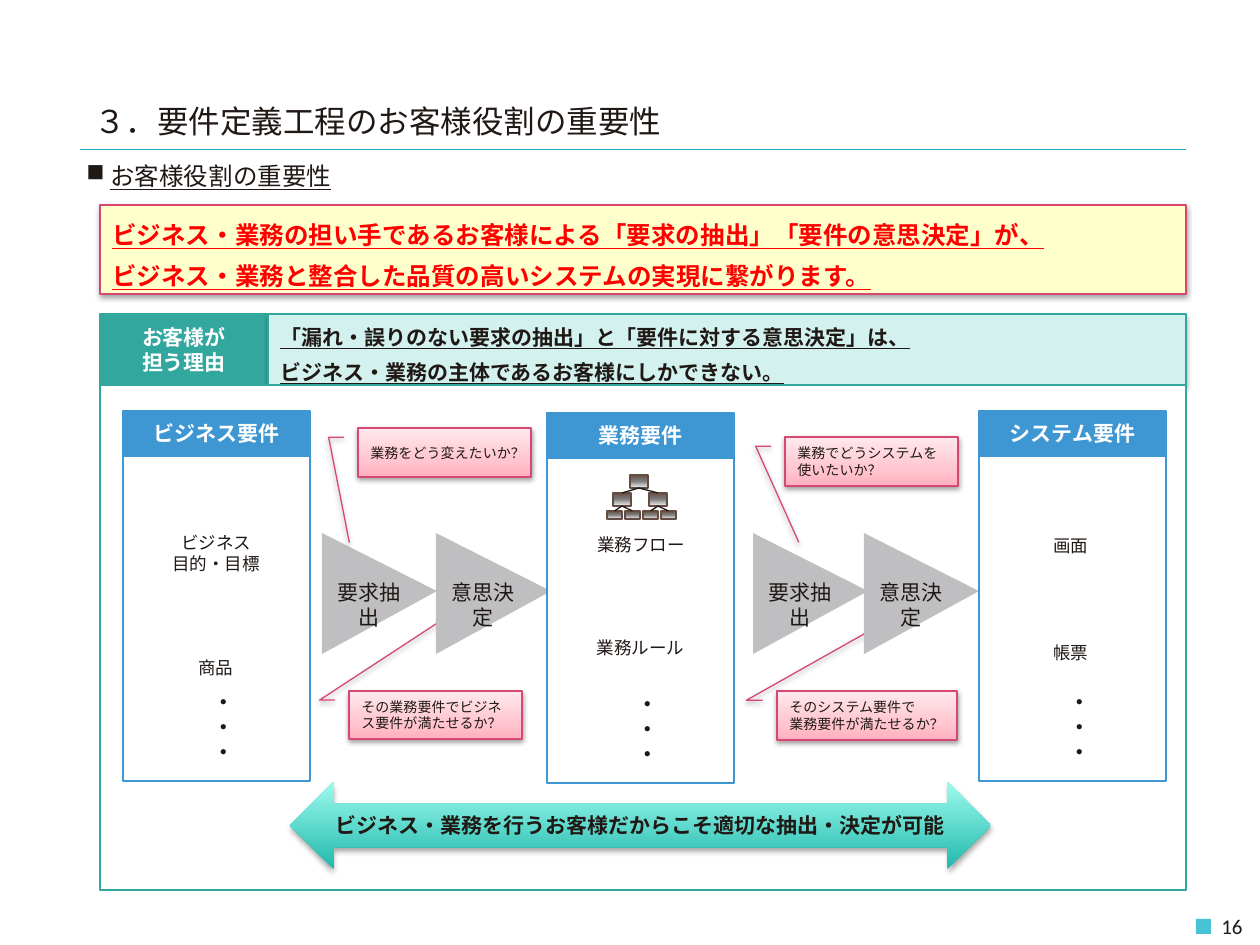
from lxml.etree import SubElement
from pptx import Presentation
from pptx.dml.color import RGBColor
from pptx.enum.shapes import MSO_CONNECTOR as Connector, MSO_SHAPE as Shape
from pptx.enum.text import MSO_ANCHOR as Anchor, PP_ALIGN as Align
from pptx.oxml.ns import qn
from pptx.util import Emu, Pt

SCALE = 914400 / 126
FONT = "Noto Sans CJK JP"
COLORS = {
    "ink": "201815", "white": "FFFFFF", "red": "FF0000", "cyan": "1BADBD",
    "marker": "47C3D3", "cream": "FFFFCC", "rose": "D64773", "teal": "32A79D",
    "teal_line": "2EA69C", "mint": "D2F1EF", "blue": "3E96D2", "gray": "BFBFC1",
    "brown": "654C42",
}
PINK = [(0, "FFAFBF"), (35, "FFC6D1"), (100, "FFE9ED")]
AQUA = [(0, "20B9AC"), (100, "9EFAEE")]
BRONZE = [(0, "654C42"), (50, "808080"), (100, "F2F2F2")]
MIDDLE = {"vertical_anchor": Anchor.MIDDLE, "word_wrap": True}
TOP = {"vertical_anchor": Anchor.TOP, "word_wrap": True}
UNWRAPPED = {"vertical_anchor": Anchor.TOP, "word_wrap": False}
CENTER = {"alignment": Align.CENTER}
LEFT = {"alignment": Align.LEFT}
LOOSE = {"alignment": Align.LEFT, "line_spacing": 1.4}


def px(*values):
    return [Emu(round(value * SCALE)) for value in values]


def rgb(name):
    return RGBColor.from_string(COLORS[name])


def apply(target, values):
    for name, value in values.items():
        setattr(target, name, value)


def write(shape, lines, size, color="ink", paragraph_format=CENTER, frame_format=MIDDLE,
          family=FONT, **font_format):
    frame = shape.text_frame
    apply(frame, frame_format)
    for index, line in enumerate(lines):
        paragraph = frame.add_paragraph() if index else frame.paragraphs[0]
        paragraph.text = line
        apply(paragraph, paragraph_format)
        for run in paragraph.runs:
            apply(run.font, {"size": Pt(size), "name": family, **font_format})
            run.font.color.rgb = rgb(color)
            SubElement(run._r.get_or_add_rPr(), qn("a:ea"), typeface=family)
    return shape


def add_text(slide, box, lines, size, **options):
    return write(slide.shapes.add_textbox(*px(*box)), lines, size, **options)


def add_block(slide, box, fill, line=None, kind=Shape.RECTANGLE, width=0.75, angle=90, shadow=0):
    shape = slide.shapes.add_shape(kind, *px(*box))
    shape.shadow.inherit = False
    properties = shape._element.spPr
    if isinstance(fill, list):
        shape.fill.gradient()
        shape.fill.gradient_angle = angle
        stops = properties.find(qn("a:gradFill")).find(qn("a:gsLst"))
        stops.clear()
        for position, color in fill:
            stop = SubElement(stops, qn("a:gs"), pos=str(position * 1000))
            SubElement(stop, qn("a:srgbClr"), val=color)
    else:
        shape.fill.solid()
        shape.fill.fore_color.rgb = rgb(fill)
    if line:
        shape.line.color.rgb = rgb(line)
        shape.line.width = Pt(width)
    else:
        shape.line.fill.background()
    if shadow:
        outer = SubElement(properties.find(qn("a:effectLst")), qn("a:outerShdw"),
                           blurRad=str(Pt(3.1)), dist=str(Pt(1.6)), dir="5400000", rotWithShape="0")
        color = SubElement(outer, qn("a:srgbClr"), val="000000")
        SubElement(color, qn("a:alpha"), val=str(shadow * 1000))
    return shape


def add_line(slide, ends, color, width):
    connector = slide.shapes.add_connector(Connector.STRAIGHT, *px(*ends))
    connector.line.color.rgb = rgb(color)
    connector.line.width = Pt(width)
    SubElement(connector._element.spPr, qn("a:effectLst"))
    return connector


def add_header(slide, box):
    left, top, width, height = box
    add_line(slide, (left, top + 53, left + width, top + 53), "cyan", 0.25)
    add_text(slide, (left + 2, top, 925, 49), ["３．要件定義工程のお客様役割の重要性"], 18,
             paragraph_format=LEFT)
    heading = add_text(slide, (left - 6, top + 59, 1121, 43), ["お客様役割の重要性"], 14,
                       paragraph_format=LEFT, frame_format=TOP, underline=True)
    properties = heading.text_frame.paragraphs[0]._p.get_or_add_pPr()
    indent = px(24)[0]
    properties.set("marL", str(indent))
    properties.set("indent", str(-indent))
    SubElement(properties, qn("a:buChar"), char="■")


def add_footer(slide, box):
    left, top, width, height = box
    add_block(slide, (left + 116, top + 12, 15, 15), "marker")
    add_text(slide, box, ["16"], 12, family="Calibri", paragraph_format={"alignment": Align.RIGHT})


def add_reason(slide, box):
    left, top, width, height = box
    label, row = 168, 71
    cell = add_block(slide, (left, top, label, row), "teal", "teal")
    write(cell, ["お客様が", "担う理由"], 12, "white", bold=True)
    cell = add_block(slide, (left + label, top, width - label, row), "mint", "teal_line", shadow=38)
    write(cell, ["「漏れ・誤りのない要求の抽出」と「要件に対する意思決定」は、\v"
                 "ビジネス・業務の主体であるお客様にしかできない。"],
          12, paragraph_format=LOOSE, bold=True, underline=True)
    add_block(slide, (left, top + row, width, height - row), "white", "teal")


def add_triangle(slide, left, top, text):
    triangle = add_block(slide, (left, top, 121, 115), "gray", kind=Shape.ISOSCELES_TRIANGLE)
    triangle.adjustments[0] = 0.48
    triangle.rotation = 90
    add_text(slide, (left + 3, top + 37, 94, 38), [text], 12, frame_format=TOP)


def add_transition(slide, box, callouts):
    left, top, width, height = box
    add_triangle(slide, left, top + 108, "要求抽出")
    for (x, y, wide, high), tip, lines in callouts:
        callout = add_block(slide, (left + x, top + y, wide, high), PINK, "rose",
                            Shape.LINE_CALLOUT_2, shadow=38)
        for index, value in enumerate((0.19, -0.08, 0.19, -0.17, *tip)):
            callout.adjustments[index] = value
        write(callout, lines, 8, paragraph_format=LEFT)
    add_triangle(slide, left + width - 121, top + 108, "意思決定")


def add_column(slide, box, title, labels):
    left, top, width, height = box
    header = add_block(slide, (left, top, width, 45), "blue", "blue")
    write(header, [title], 12, "white", bold=True)
    add_block(slide, (left, top + 45, width, height - 45), "white", "blue")
    for (x, y, wide, high), lines in labels:
        add_text(slide, (left + x, top + y, wide, high), lines, 10, frame_format=UNWRAPPED)
    dots = add_text(slide, (left + 66, top + 267, 55, 87), ["・・・"], 14,
                    paragraph_format=LEFT, frame_format=UNWRAPPED)
    dots.text_frame._txBody.bodyPr.set("vert", "eaVert")


def add_tree(slide, box):
    left, top, width, height = box

    def node(x, y, wide, high):
        return add_block(slide, (left + x, top + y, wide, high), BRONZE, "brown", width=1, angle=270)

    root = node(23, 0, 18, 13)
    branches = [node(x, 18, 18, 13) for x in (6, 42)]
    leaves = [node(18 * index, height - 8, 15, 8) for index in range(4)]
    links = [(root, branch) for branch in branches]
    links += [(branches[index // 2], leaf) for index, leaf in enumerate(leaves)]
    for parent, child in links:
        link = add_line(slide, (left, top, left, top), "ink", 0.75)
        link.begin_connect(parent, 2)
        link.end_connect(child, 0)


def main():
    presentation = Presentation()
    presentation.slide_width, presentation.slide_height = px(1260, 945)
    slide = presentation.slides.add_slide(presentation.slide_layouts[6])
    add_header(slide, (80, 96, 1106, 102))
    add_footer(slide, (1080, 907, 175, 39))
    message = add_block(slide, (100, 205, 1086, 89), "cream", "rose", shadow=38)
    write(message, ["ビジネス・業務の担い手であるお客様による「要求の抽出」「要件の意思決定」が、",
                    "ビジネス・業務と整合した品質の高いシステムの実現に繋がります。"],
          14, "red", paragraph_format=LOOSE, bold=True, underline=True)
    add_reason(slide, (100, 314, 1086, 576))
    add_transition(slide, (319, 428, 235, 312), [
        ((39, 0, 173, 49), (2.34, -0.05), ["業務をどう変えたいか？"]),
        ((30, 263, 173, 48), (-1.46, 0.53), ["その業務要件でビジネス要件が満たせるか？"])])
    add_transition(slide, (750, 428, 232, 312), [
        ((35, 9, 173, 49), (2.15, 0.08), ["業務でどうシステムを", "使いたいか？"]),
        ((27, 263, 180, 49), (-1.26, 0.53), ["そのシステム要件で", "業務要件が満たせるか？"])])
    arrow = add_block(slide, (290, 782, 701, 87), AQUA, kind=Shape.LEFT_RIGHT_ARROW, shadow=35)
    write(arrow, ["ビジネス・業務を行うお客様だからこそ適切な抽出・決定が可能"], 12, bold=True)
    add_column(slide, (123, 411, 187, 370), "ビジネス要件", [
        ((20, 115, 146, 55), ["ビジネス", "目的・目標"]), ((63, 240, 60, 34), ["商品"])])
    add_column(slide, (979, 411, 187, 370), "システム要件", [
        ((62, 118, 60, 34), ["画面"]), ((62, 225, 60, 34), ["帳票"])])
    add_column(slide, (547, 413, 187, 370), "業務要件", [
        ((34, 115, 120, 34), ["業務フロー"]), ((37, 218, 113, 34), ["業務ルール"])])
    add_tree(slide, (607, 475, 69, 44))
    presentation.save("out.pptx")


if __name__ == "__main__":
    main()
